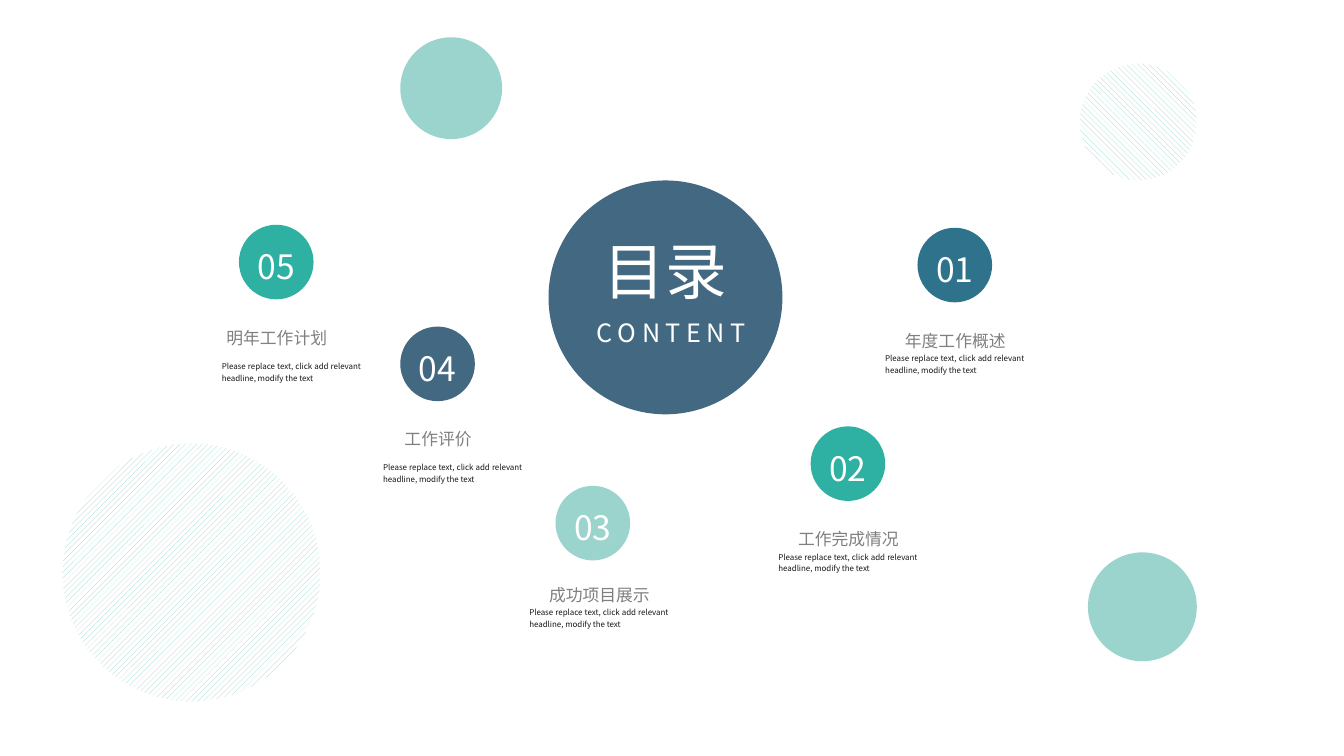
from lxml.etree import SubElement
from pptx import Presentation
from pptx.dml.color import RGBColor
from pptx.enum.dml import MSO_PATTERN
from pptx.enum.shapes import MSO_SHAPE
from pptx.enum.text import MSO_ANCHOR, MSO_AUTO_SIZE, PP_ALIGN
from pptx.oxml.ns import qn
from pptx.util import Inches, Pt

WHITE = RGBColor(0xFF, 0xFF, 0xFF)
GRAY = RGBColor(0x80, 0x80, 0x80)
INK = RGBColor(0x18, 0x17, 0x17)
NAVY = RGBColor(0x43, 0x69, 0x82)
BLUE = RGBColor(0x2F, 0x72, 0x8B)
TEAL = RGBColor(0x2E, 0xB0, 0xA2)
MINT = RGBColor(0x9B, 0xD4, 0xCC)

FONT = "Noto Sans CJK SC"
NOTE = "Please replace text, click add relevant headline, modify the text"
NEAR = (-0.09, 0.24)
FAR = (0.06, 0.35)
ITEMS = [
    ("01", "年度工作概述", BLUE, (9.1, 2.26), (8.87, 3.25), NEAR),
    ("02", "工作完成情况", TEAL, (8.04, 4.23), (7.81, 5.22), NEAR),
    ("03", "成功项目展示", MINT, (5.51, 4.82), (5.34, 5.77), NEAR),
    ("04", "工作评价", NAVY, (3.97, 3.24), (3.74, 4.22), FAR),
    ("05", "明年工作计划", TEAL, (2.37, 2.23), (2.14, 3.22), FAR),
]


class Deck:
    """Holds the style and the current slide, and draws each kind of element."""

    def __init__(self, slide):
        self.slide = slide
        self.font = FONT

    def letter(self, shape, text, size, color, align, anchor=MSO_ANCHOR.TOP,
               inset=None, line=None, wrap=True, gap=0):
        frame = shape.text_frame
        frame.text = text
        frame.word_wrap = wrap
        frame.auto_size = MSO_AUTO_SIZE.NONE
        frame.vertical_anchor = anchor
        if inset is not None:
            frame.margin_left = frame.margin_right = Inches(inset)
            frame.margin_top = frame.margin_bottom = Inches(inset)
        para = frame.paragraphs[0]
        para.alignment = align
        if line:
            para.line_spacing = line
        font = para.font
        font.name = self.font
        font.size = Pt(size)
        font.color.rgb = color
        SubElement(font._rPr, qn("a:ea")).set("typeface", self.font)
        if gap:
            font._rPr.set("spc", str(gap * 100))

    def title(self, text, left, top, width, height, size):
        shape = self.slide.shapes.title
        self.slide.shapes._spTree.append(shape._element)
        shape.left, shape.top = Inches(left), Inches(top)
        shape.width, shape.height = Inches(width), Inches(height)
        self.letter(shape, text, size, WHITE, PP_ALIGN.LEFT, wrap=False)

    def label(self, text, left, top, width, height, *style, **more):
        box = self.slide.shapes.add_textbox(
            Inches(left), Inches(top), Inches(width), Inches(height))
        self.letter(box, text, *style, **more)

    def disc(self, left, top, size, color, pattern=None):
        shape = self.slide.shapes.add_shape(
            MSO_SHAPE.OVAL, Inches(left), Inches(top), Inches(size), Inches(size))
        shape.shadow.inherit = False
        shape.line.fill.background()
        if pattern is None:
            shape.fill.solid()
            shape.fill.fore_color.rgb = color
        else:
            shape.fill.patterned()
            shape.fill.pattern = pattern
            shape.fill.fore_color.rgb = color
            shape.fill.back_color.rgb = WHITE
        return shape

    def item(self, number, name, color, dot, head, shift):
        badge = self.disc(*dot, 0.74, color)
        self.letter(badge, number, 24, WHITE, PP_ALIGN.CENTER,
                    MSO_ANCHOR.MIDDLE, 0.02, 1.2)
        self.label(name, *head, 1.21, 0.22, 12, GRAY, PP_ALIGN.CENTER,
                   MSO_ANCHOR.MIDDLE, 0, 1.2)
        self.label(NOTE, head[0] + shift[0], head[1] + shift[1], 1.38, 0.22,
                   5.7, INK, PP_ALIGN.JUSTIFY, inset=0, line=1.2)


def main():
    show = Presentation()
    show.slide_width, show.slide_height = Inches(13.33), Inches(7.5)
    deck = Deck(show.slides.add_slide(show.slide_layouts[5]))

    for entry in ITEMS:
        deck.item(*entry)

    deck.disc(5.44, 1.79, 2.32, NAVY)
    deck.title("目录", 5.89, 2.26, 1.44, 0.84, 44)
    deck.label("CONTENT", 5.76, 3.1, 1.8, 0.4, 18, WHITE, PP_ALIGN.CENTER,
               wrap=False, gap=4)

    deck.disc(10.79, 5.48, 1.08, MINT)
    deck.disc(3.97, 0.37, 1.01, MINT)
    deck.disc(0.62, 4.4, 2.56, MINT, MSO_PATTERN.WIDE_UPWARD_DIAGONAL)
    deck.disc(10.71, 0.63, 1.16, MINT, MSO_PATTERN.WIDE_DOWNWARD_DIAGONAL)

    show.save("out.pptx")


if __name__ == "__main__":
    main()
